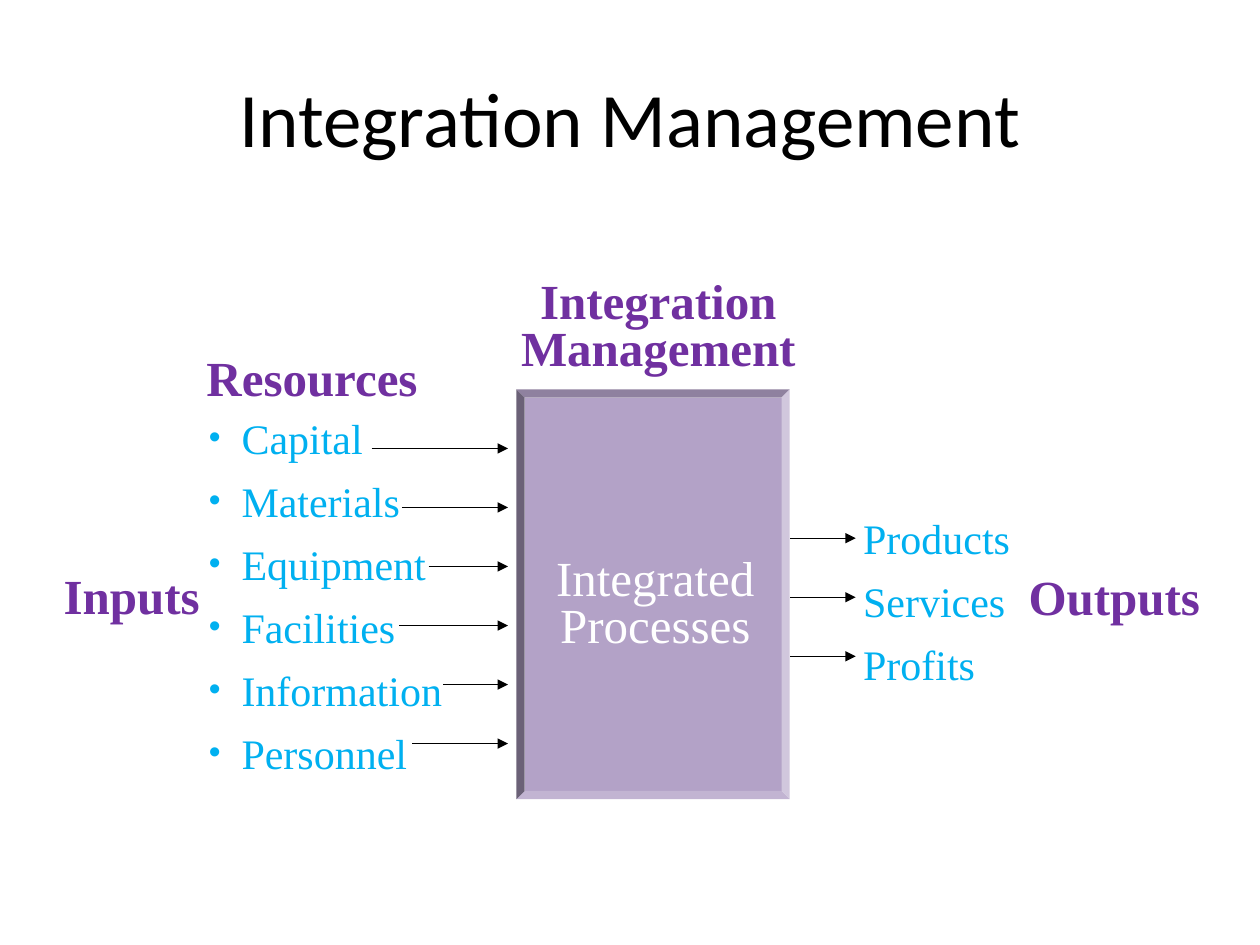
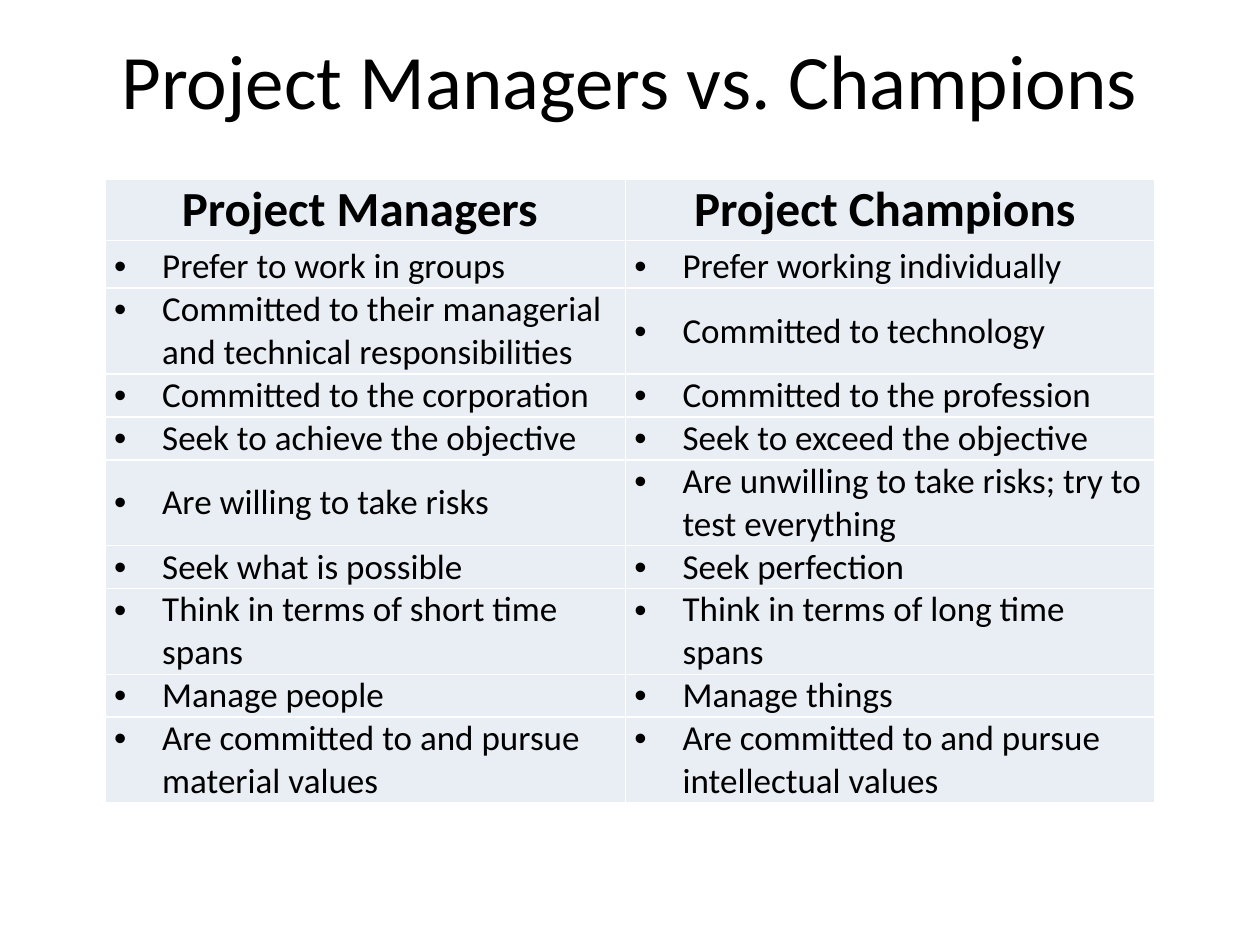
from dataclasses import dataclass
from typing import Sequence

from lxml.etree import SubElement
from pptx import Presentation
from pptx.dml.color import RGBColor
from pptx.enum.shapes import MSO_CONNECTOR, MSO_SHAPE
from pptx.enum.text import MSO_ANCHOR, PP_ALIGN
from pptx.oxml.ns import qn
from pptx.util import Cm, Pt


@dataclass(frozen=True)
class Theme:
    sans: str = "Calibri"
    serif: str = "Times New Roman"
    black: str = "000000"
    white: str = "FFFFFF"
    heading: str = "7030A0"
    item: str = "00B0F0"
    process: str = "B3A2C7"
    cell: str = "E9EDF4"
    title_size: int = 44
    heading_size: int = 28
    item_size: int = 24
    cell_size: int = 20


THEME = Theme()


@dataclass(frozen=True)
class Box:
    """A rectangle in centimetres."""
    x: float
    y: float
    w: float
    h: float

    def lengths(self) -> tuple:
        return Cm(self.x), Cm(self.y), Cm(self.w), Cm(self.h)


@dataclass(frozen=True)
class Heading:
    text: str
    box: Box


@dataclass(frozen=True)
class Resource:
    name: str
    arrow_start: float


@dataclass(frozen=True)
class Trait:
    manager: str
    champion: str
    lines: int = 1


HEADINGS = [
    Heading("Resources", Box(2.67, 6.53, 7.24, 2.36)),
    Heading("Inputs", Box(0.51, 10.92, 4.29, 2.36)),
    Heading("Integration\vManagement", Box(9.65, 5.46, 7.24, 2.36)),
    Heading("Outputs", Box(20.32, 10.95, 4.29, 2.36)),
]
RESOURCES = [
    Resource("Capital", 7.49),
    Resource("Materials", 8.1),
    Resource("Equipment", 8.64),
    Resource("Facilities", 8.05),
    Resource("Information", 8.94),
    Resource("Personnel", 8.31),
]
RESULTS = ["Products", "Services", "Profits"]
TRAITS = [
    Trait("Prefer to work in groups", "Prefer working individually"),
    Trait("Committed to their managerial and technical responsibilities",
          "Committed to technology", 2),
    Trait("Committed to the corporation", "Committed to the profession"),
    Trait("Seek to achieve the objective", "Seek to exceed the objective"),
    Trait("Are willing to take risks",
          "Are unwilling to take risks; try to test everything", 2),
    Trait("Seek what is possible", "Seek perfection"),
    Trait("Think in terms of short time spans",
          "Think in terms of long time spans", 2),
    Trait("Manage people", "Manage things"),
    Trait("Are committed to and pursue material values",
          "Are committed to and pursue intellectual values", 2),
]

ARROW_PITCH = 1.19
RESOURCE_ARROW_TOP, RESOURCE_ARROW_END = 9.04, 10.24
RESULT_ARROW_TOP, RESULT_ARROW_START, RESULT_ARROW_END = 10.85, 15.93, 17.25
ITEM_INDENT, CELL_INDENT = 0.66, 0.97
HEADER_HEIGHT, FIRST_ROW_HEIGHT, LINE_HEIGHT = 1.24, 0.96, 0.86


def rgb(color: str) -> RGBColor:
    return RGBColor.from_string(color)


def write(tf, lines: Sequence[str], *, size: int, font: str = THEME.serif,
          color: str = THEME.black, bold: bool = False, align=PP_ALIGN.LEFT,
          spacing: float | None = None, gap: int | None = None,
          indent: float = 0, bullet: bool = False,
          bullet_color: str | None = None,
          bullet_percent: int | None = None) -> None:
    """Fill a text frame with one paragraph per line; gap is in points."""
    for i, line in enumerate(lines):
        p = tf.add_paragraph() if i else tf.paragraphs[0]
        p.text = line
        p.alignment = align
        if spacing is not None:
            p.line_spacing = spacing
        if gap is not None:
            p.space_before = p.space_after = Pt(gap)
        pPr = p._p.get_or_add_pPr()
        if indent:
            pPr.set("marL", str(Cm(indent)))
            pPr.set("indent", str(-Cm(indent)))
        if bullet:
            if bullet_color:
                clr = SubElement(pPr, qn("a:buClr"))
                SubElement(clr, qn("a:srgbClr"), val=bullet_color)
            if bullet_percent:
                SubElement(pPr, qn("a:buSzPct"), val=str(bullet_percent * 1000))
            SubElement(pPr, qn("a:buFont"), typeface="Arial")
            SubElement(pPr, qn("a:buChar"), char="•")
        for r in p.runs:
            r.font.name = font
            r.font.size = Pt(size)
            r.font.bold = bold
            r.font.color.rgb = rgb(color)


def add_titled_slide(prs, title: str, top: float):
    s = prs.slides.add_slide(prs.slide_layouts[5])
    sp = s.shapes.title
    sp.left, sp.top, sp.width, sp.height = Box(1.27, top, 22.86, 3.18).lengths()
    sp.text_frame.vertical_anchor = MSO_ANCHOR.MIDDLE
    write(sp.text_frame, [title], size=THEME.title_size, font=THEME.sans,
          align=PP_ALIGN.CENTER)
    return s


def add_text(s, box: Box, lines: Sequence[str], **fmt) -> None:
    tf = s.shapes.add_textbox(*box.lengths()).text_frame
    tf.word_wrap = False
    tf.vertical_anchor = MSO_ANCHOR.MIDDLE
    write(tf, lines, **fmt)


def add_filled(s, kind, box: Box, color: str):
    sp = s.shapes.add_shape(kind, *box.lengths())
    sp.shadow.inherit = False
    sp.fill.solid()
    sp.fill.fore_color.rgb = rgb(color)
    sp.line.fill.background()
    return sp


def add_arrow(s, start: float, end: float, y: float) -> None:
    c = s.shapes.add_connector(MSO_CONNECTOR.STRAIGHT,
                               Cm(start), Cm(y), Cm(end), Cm(y))
    c.line.color.rgb = rgb(THEME.black)
    c.line.width = Pt(0.75)
    SubElement(c.line._get_or_add_ln(), qn("a:tailEnd"), type="triangle")
    SubElement(c._element.spPr, qn("a:effectLst"))


def format_cell(cell, anchor) -> None:
    tcPr = cell._tc.get_or_add_tcPr()
    for side in ("lnL", "lnR", "lnT", "lnB"):
        ln = SubElement(tcPr, qn(f"a:{side}"), w=str(Pt(1)))
        SubElement(SubElement(ln, qn("a:solidFill")), qn("a:srgbClr"),
                   val=THEME.white)
    cell.fill.solid()
    cell.fill.fore_color.rgb = rgb(THEME.cell)
    cell.margin_left = cell.margin_right = Cm(0.18)
    cell.margin_top = cell.margin_bottom = 0
    cell.vertical_anchor = anchor


def build_integration(prs) -> None:
    s = add_titled_slide(prs, "Integration Management", 0.76)

    frame = add_filled(s, MSO_SHAPE.BEVEL, Box(10.41, 7.85, 5.51, 8.26),
                       THEME.process)
    frame.adjustments[0] = 0.03
    frame.rotation = 180
    panel = add_filled(s, MSO_SHAPE.RECTANGLE, Box(10.77, 9.04, 4.88, 6.35),
                       THEME.process)
    panel.text_frame.word_wrap = False
    panel.text_frame.vertical_anchor = MSO_ANCHOR.MIDDLE
    write(panel.text_frame, ["Integrated\vProcesses"], color=THEME.white,
          size=THEME.heading_size, align=PP_ALIGN.CENTER, spacing=0.8)

    for heading in HEADINGS:
        add_text(s, heading.box, [heading.text], size=THEME.heading_size,
                 color=THEME.heading, bold=True, align=PP_ALIGN.CENTER,
                 spacing=0.8)

    item = dict(size=THEME.item_size, color=THEME.item, spacing=1.25,
                indent=ITEM_INDENT)
    add_text(s, Box(3.96, 8.41, 5.23, 6.91), [r.name for r in RESOURCES],
             bullet=True, bullet_color=THEME.item, bullet_percent=80, **item)
    add_text(s, Box(17.15, 8.53, 4.14, 6.91), RESULTS, **item)

    for i, resource in enumerate(RESOURCES):
        add_arrow(s, resource.arrow_start, RESOURCE_ARROW_END,
                  RESOURCE_ARROW_TOP + i * ARROW_PITCH)
    for i in range(len(RESULTS)):
        add_arrow(s, RESULT_ARROW_START, RESULT_ARROW_END,
                  RESULT_ARROW_TOP + i * ARROW_PITCH)


def build_comparison(prs) -> None:
    s = add_titled_slide(prs, "Project Managers vs. Champions", 0)
    table = s.shapes.add_table(len(TRAITS) + 1, 2,
                               *Box(2.12, 3.61, 21.16, 12.47).lengths()).table
    table.horz_banding = False
    for column, width in zip(table.columns, (10.49, 10.67)):
        column.width = Cm(width)

    table.rows[0].height = Cm(HEADER_HEIGHT)
    for cell, text in zip(table.rows[0].cells,
                          ("Project Managers ", "Project Champions ")):
        format_cell(cell, MSO_ANCHOR.MIDDLE)
        write(cell.text_frame, [text], size=THEME.heading_size,
              font=THEME.sans, bold=True, align=PP_ALIGN.CENTER)

    for i, trait in enumerate(TRAITS):
        row = table.rows[i + 1]
        row.height = Cm(trait.lines * LINE_HEIGHT if i else FIRST_ROW_HEIGHT)
        for cell, text in zip(row.cells, (trait.manager, trait.champion)):
            format_cell(cell, MSO_ANCHOR.MIDDLE if i else MSO_ANCHOR.BOTTOM)
            write(cell.text_frame, [text], size=THEME.cell_size,
                  font=THEME.sans, gap=6, indent=CELL_INDENT, bullet=True)


def main() -> None:
    prs = Presentation()
    prs.slide_width, prs.slide_height = Cm(25.4), Cm(19.05)
    build_integration(prs)
    build_comparison(prs)
    prs.save("out.pptx")


if __name__ == "__main__":
    main()
